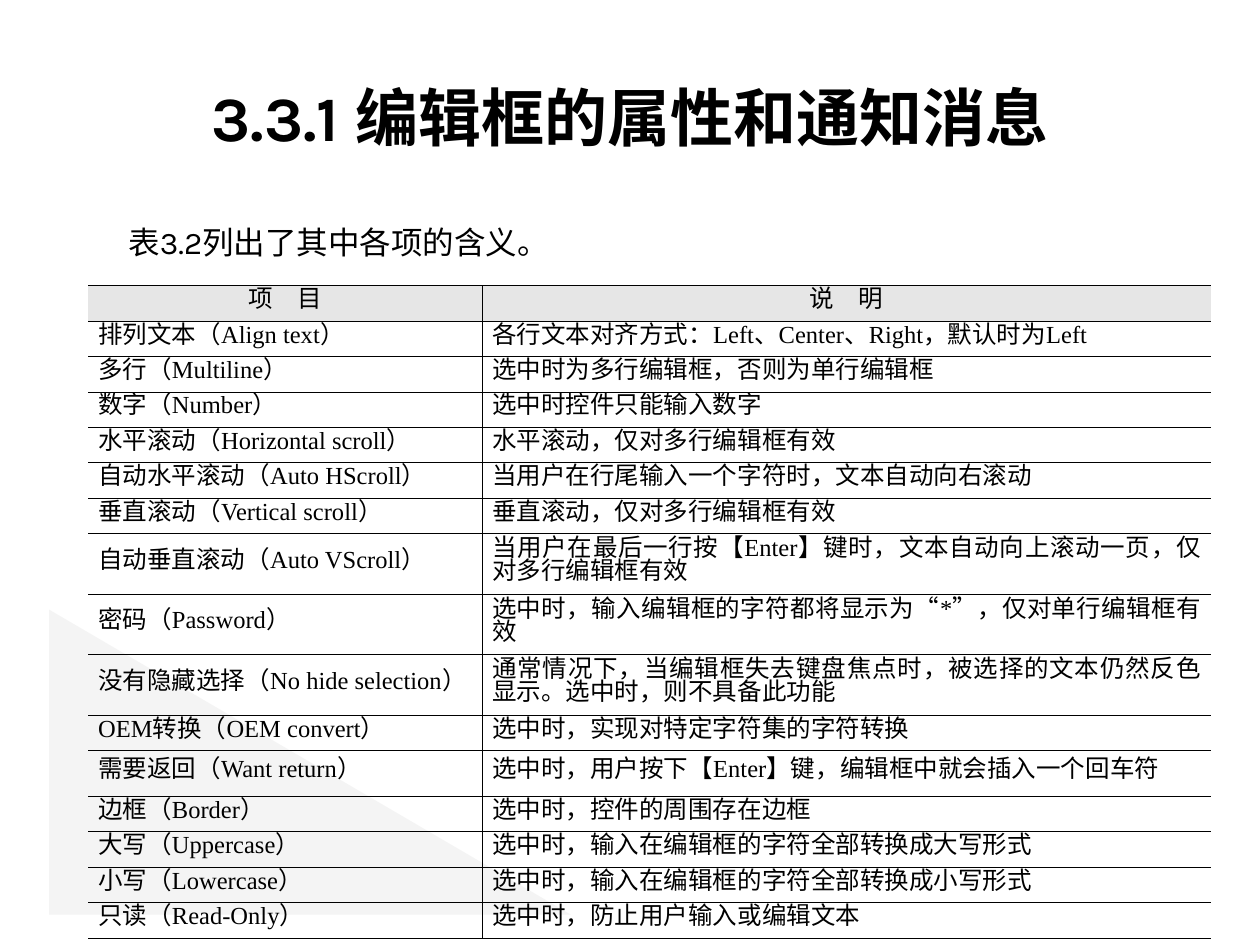
"""Build the slide that explains the properties of an edit box."""
import pptx
import pptx.dml.color
import pptx.enum.shapes
import pptx.enum.text
import pptx.oxml
import pptx.oxml.ns
import pptx.util

Cm = pptx.util.Cm
Pt = pptx.util.Pt
ALIGN = pptx.enum.text.PP_ALIGN
MIDDLE = pptx.enum.text.MSO_ANCHOR.MIDDLE

COLOURS = {"ink": "000000", "header": "E6E6E6", "triangle": "F2F2F2"}
COLUMN_WIDTHS = [7.94, 14.69]
ROW_HEIGHT = 0.61
TALL_ROWS = {7: 1.22, 8: 1.22, 9: 1.22, 11: 0.92}
PROPERTIES = [
    ("项　目", "说　明"),
    ("排列文本（Align text）", "各行文本对齐方式：Left、Center、Right，默认时为Left"),
    ("多行（Multiline）", "选中时为多行编辑框，否则为单行编辑框"),
    ("数字（Number）", "选中时控件只能输入数字"),
    ("水平滚动（Horizontal scroll）", "水平滚动，仅对多行编辑框有效"),
    ("自动水平滚动（Auto HScroll）", "当用户在行尾输入一个字符时，文本自动向右滚动"),
    ("垂直滚动（Vertical scroll）", "垂直滚动，仅对多行编辑框有效"),
    ("自动垂直滚动（Auto VScroll）",
     "当用户在最后一行按【Enter】键时，文本自动向上滚动一页，仅对多行编辑框有效"),
    ("密码（Password）", "选中时，输入编辑框的字符都将显示为“*”，仅对单行编辑框有效"),
    ("没有隐藏选择（No hide selection）",
     "通常情况下，当编辑框失去键盘焦点时，被选择的文本仍然反色显示。选中时，则不具备此功能"),
    ("OEM转换（OEM convert）", "选中时，实现对特定字符集的字符转换"),
    ("需要返回（Want return）", "选中时，用户按下【Enter】键，编辑框中就会插入一个回车符"),
    ("边框（Border）", "选中时，控件的周围存在边框"),
    ("大写（Uppercase）", "选中时，输入在编辑框的字符全部转换成大写形式"),
    ("小写（Lowercase）", "选中时，输入在编辑框的字符全部转换成小写形式"),
    ("只读（Read-Only）", "选中时，防止用户输入或编辑文本"),
]


def colour(name):
    return pptx.dml.color.RGBColor.from_string(COLOURS[name])


def write(frame, text, font="Karla", size=18, bold=False, align=ALIGN.LEFT, spacing=None):
    para = frame.paragraphs[0]
    para.alignment = align
    if spacing:
        para.line_spacing = Pt(spacing)
    span = para.add_run()
    span.text = text
    span.font.name = font
    span.font.size = Pt(size)
    span.font.bold = bold
    span.font.color.rgb = colour("ink")


def draw_borders(cell, sides):
    properties = cell._tc.get_or_add_tcPr()
    for side in "LRTB":
        paint = "<a:noFill/>"
        if side in sides:
            paint = f'<a:solidFill><a:srgbClr val="{COLOURS["ink"]}"/></a:solidFill>'
        properties.append(pptx.oxml.parse_xml(
            f'<a:ln{side} {pptx.oxml.ns.nsdecls("a")} w="{Pt(0.45)}">{paint}</a:ln{side}>'))


class SlideBuilder:
    def __init__(self, page, table_font):
        self.page = page
        self.table_font = table_font

    def triangle(self, left, top, width, height, opacity):
        shape = self.page.shapes.add_shape(
            pptx.enum.shapes.MSO_SHAPE.RIGHT_TRIANGLE, Cm(left), Cm(top), Cm(width), Cm(height))
        shape.shadow.inherit = False
        shape.line.fill.background()
        shape.fill.solid()
        shape.fill.fore_color.rgb = colour("triangle")
        shade = shape._element.spPr.find(".//" + pptx.oxml.ns.qn("a:srgbClr"))
        shade.append(pptx.oxml.parse_xml(
            f'<a:alpha {pptx.oxml.ns.nsdecls("a")} val="{opacity * 1000}"/>'))

    def text_box(self, left, top, width, height, text, wrap=True, anchor=None, **style):
        box = self.page.shapes.add_textbox(Cm(left), Cm(top), Cm(width), Cm(height))
        frame = box.text_frame
        frame.word_wrap = wrap
        frame.vertical_anchor = anchor
        write(frame, text, **style)

    def table(self, left, top, rows):
        heights = [TALL_ROWS.get(index, ROW_HEIGHT) for index in range(len(rows))]
        table = self.page.shapes.add_table(
            len(rows), len(COLUMN_WIDTHS), Cm(left), Cm(top),
            Cm(sum(COLUMN_WIDTHS)), Cm(sum(heights))).table
        table.first_row = False
        table.horz_banding = False
        for column, width in zip(table.columns, COLUMN_WIDTHS):
            column.width = Cm(width)
        for index, texts in enumerate(rows):
            table.rows[index].height = Cm(heights[index])
            for position, text in enumerate(texts):
                self.cell(table.cell(index, position), text, index == 0, "LTB" if position else "RTB")

    def cell(self, cell, text, is_header, sides):
        draw_borders(cell, sides)
        if is_header:
            cell.fill.solid()
            cell.fill.fore_color.rgb = colour("header")
        else:
            cell.fill.background()
        cell.vertical_anchor = MIDDLE
        cell.margin_left = cell.margin_right = Cm(0.2)
        write(cell.text_frame, text, font=self.table_font, size=14, spacing=13,
              align=ALIGN.CENTER if is_header else ALIGN.JUSTIFY)


def main():
    deck = pptx.Presentation()
    deck.slide_width, deck.slide_height = Cm(25.4), Cm(19.05)
    builder = SlideBuilder(deck.slides.add_slide(deck.slide_layouts[6]), "Times New Roman")
    builder.triangle(0.99, 12.29, 10.52, 6.15, opacity=83)
    builder.text_box(1.27, 0.76, 22.86, 3.18, "3.3.1 编辑框的属性和通知消息",
                     anchor=MIDDLE, size=36, bold=True, align=ALIGN.CENTER)
    builder.text_box(2.34, 4.37, 9.32, 1.02, "表3.2列出了其中各项的含义。", wrap=False)
    builder.table(1.78, 5.76, PROPERTIES)
    deck.save("out.pptx")


if __name__ == "__main__":
    main()
